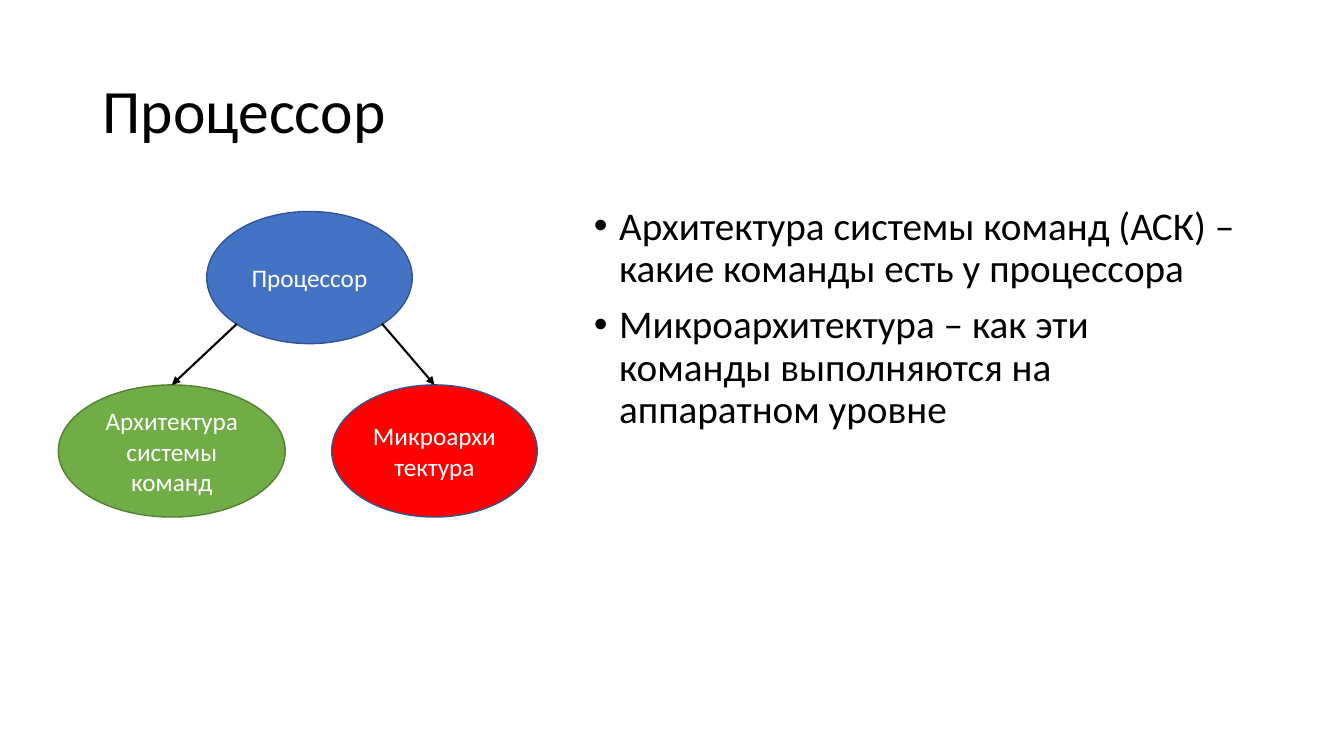
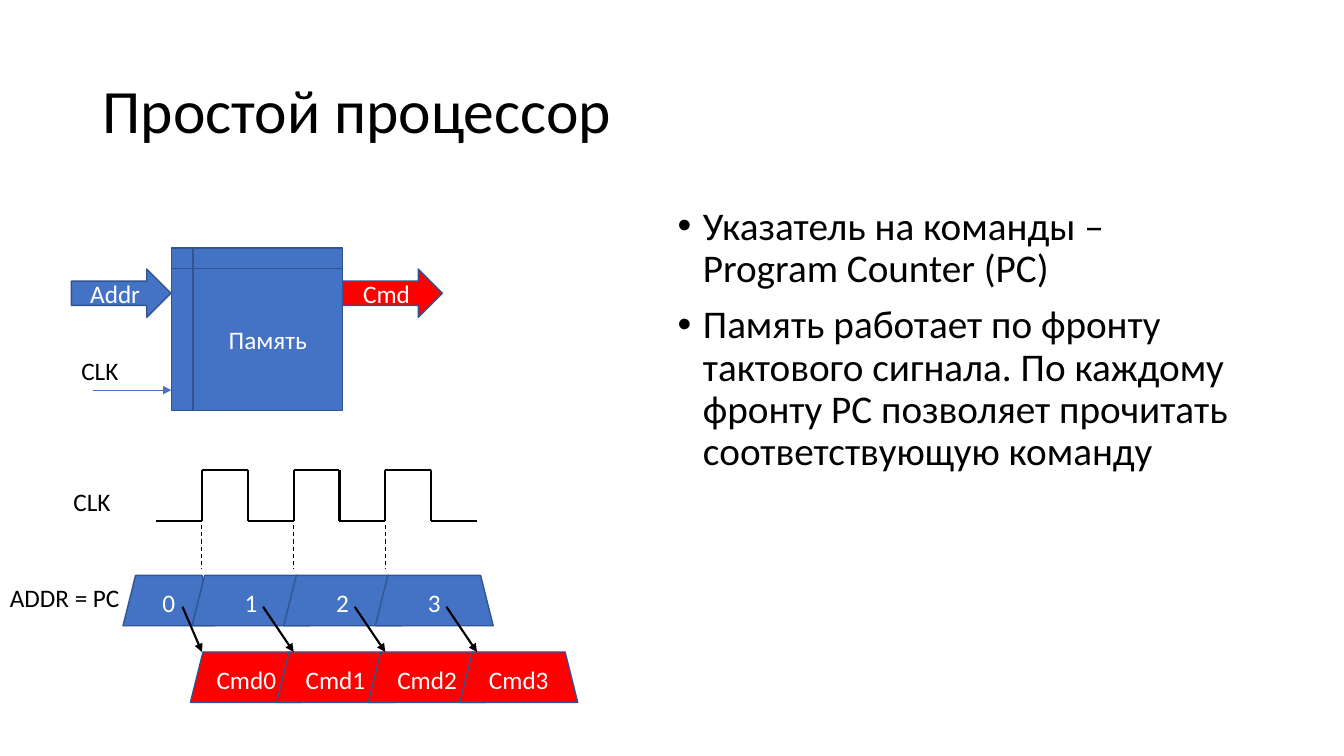
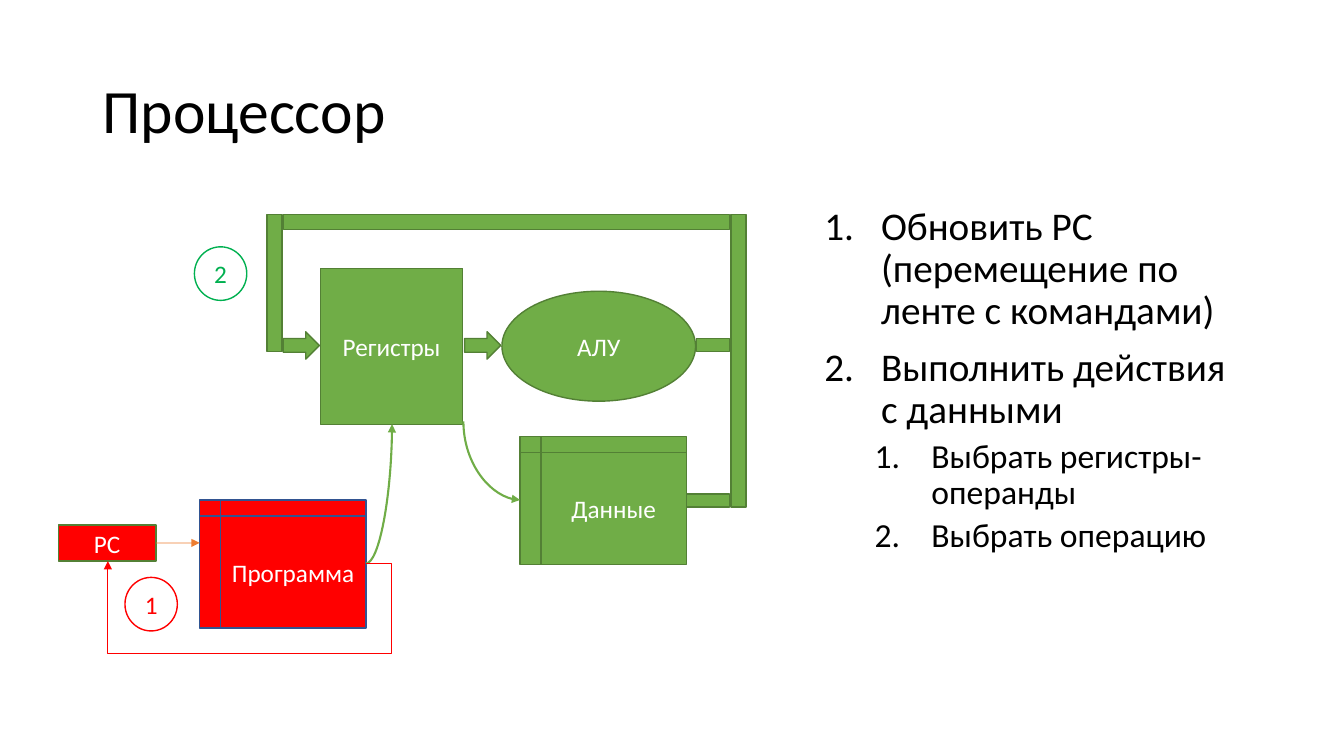
from dataclasses import dataclass

from lxml import etree
from pptx import Presentation
from pptx import util as u
from pptx.dml import color as col
from pptx.enum import dml, shapes, text as txt
from pptx.oxml import ns

Cm = u.Cm
KIND = shapes.MSO_SHAPE
LINK = shapes.MSO_CONNECTOR


@dataclass(frozen=True)
class Theme:
    font: str = "Calibri"
    black: str = "000000"
    white: str = "FFFFFF"
    blue: str = "4472C4"
    navy: str = "325491"
    red: str = "FF0000"
    green: str = "70AD47"
    olive: str = "538035"
    lime: str = "00B050"
    orange: str = "ED7D31"
    head: int = 44
    main: int = 28
    sub: int = 24
    note: int = 18
    thin: float = 0.5
    dash: float = 0.75
    edge: float = 1
    bold: float = 1.5


T = Theme()


def rgb(code):
    return col.RGBColor.from_string(code)


def node(parent, tag, **attrs):
    return etree.SubElement(parent, ns.qn(tag), **attrs)


def write(para, text, size=T.note, color=T.black, align=None, space=None, before=None):
    run = para.add_run()
    run.text = text
    run.font.name = T.font
    run.font.size = u.Pt(size)
    run.font.color.rgb = rgb(color)
    if align is not None:
        para.alignment = align
    if space is not None:
        para.line_spacing = space
    if before is not None:
        para.space_before = u.Pt(before)


class Deck:
    def __init__(self, theme):
        self.theme = theme
        self.prs = Presentation()
        self.prs.slide_width = Cm(33.87)
        self.prs.slide_height = Cm(19.05)

    def page(self, title):
        self.slide = self.prs.slides.add_slide(self.prs.slide_layouts[1])
        frame = self.place(self.slide.shapes.title, 2.33, 1.01, 29.21, 3.68)
        frame.vertical_anchor = txt.MSO_ANCHOR.MIDDLE
        write(frame.paragraphs[0], title, size=self.theme.head,
              align=txt.PP_ALIGN.LEFT, space=0.9)

    def place(self, holder, x, y, w, h):
        holder.left, holder.top, holder.width, holder.height = map(Cm, (x, y, w, h))
        frame = holder.text_frame
        frame.word_wrap = True
        frame.auto_size = txt.MSO_AUTO_SIZE.NONE
        return frame

    def items(self, x, rows, count=False):
        frame = self.place(self.slide.placeholders[1], x, 5.07, 31.54 - x, 12.09)
        hang = Cm(1.43 if count else 0.64)
        for i, (level, text) in enumerate(rows):
            para = frame.add_paragraph() if i else frame.paragraphs[0]
            para.level = level
            write(para, text, size=self.theme.sub if level else self.theme.main,
                  space=0.9, before=5 if level else 10)
            props = para._p.get_or_add_pPr()
            props.set("marL", str(hang + level * Cm(1.27)))
            props.set("indent", str(-hang))
            if count:
                node(props, "a:buFont", typeface="+mj-lt")
                node(props, "a:buAutoNum", type="arabicPeriod")
            else:
                node(props, "a:buFont", typeface="Arial")
                node(props, "a:buChar", char="•")

    def shape(self, kind, x, y, w, h, text="", fill=T.blue, edge=T.navy, color=T.white):
        item = self.slide.shapes.add_shape(kind, Cm(x), Cm(y), Cm(w), Cm(h))
        item.shadow.inherit = False
        if fill:
            item.fill.solid()
            item.fill.fore_color.rgb = rgb(fill)
        else:
            item.fill.background()
        item.line.color.rgb = rgb(edge)
        item.line.width = u.Pt(self.theme.edge)
        if text:
            item.text_frame.vertical_anchor = txt.MSO_ANCHOR.MIDDLE
            write(item.text_frame.paragraphs[0], text, color=color,
                  align=txt.PP_ALIGN.CENTER)
        return item

    def label(self, x, y, w, text):
        frame = self.slide.shapes.add_textbox(Cm(x), Cm(y), Cm(w), Cm(1.02)).text_frame
        frame.word_wrap = True
        write(frame.paragraphs[0], text)

    def line(self, start, end, color=T.black, width=T.bold, tip=None, dash=False,
             kind=LINK.STRAIGHT):
        item = self.slide.shapes.add_connector(kind, *map(Cm, (*start, *end)))
        item.line.color.rgb = rgb(color)
        item.line.width = u.Pt(width)
        if dash:
            item.line.dash_style = dml.MSO_LINE.DASH
        props = item._element.spPr
        if tip:
            node(props.get_or_add_ln(), f"a:{tip}End", type="triangle")
        node(props, "a:effectLst")
        return item

    def curve(self, start, end, tip):
        item = self.line(start, end, color=self.theme.green, tip=tip, kind=LINK.CURVE)
        item._element.spPr.find(ns.qn("a:prstGeom")).set("prst", "curvedConnector2")

    def bend(self, start, turn, end, color):
        item = self.line(start, end, color=color, width=self.theme.thin,
                         tip="tail", kind=LINK.ELBOW)
        geom = item._element.spPr.find(ns.qn("a:prstGeom"))
        geom.set("prst", "bentConnector4")
        guides = geom.find(ns.qn("a:avLst"))
        if guides is None:
            guides = node(geom, "a:avLst")
        for i, (a, b, c) in enumerate(zip(start, turn, end), 1):
            ratio = round(100000 * (b - a) / (c - a))
            node(guides, "a:gd", name=f"adj{i}", fmla=f"val {ratio}")


def parts(deck):
    deck.page("Процессор")
    deck.items(14.71, [
        (0, "Архитектура системы команд (АСК) – какие команды есть у процессора"),
        (0, "Микроархитектура – как эти команды выполняются на аппаратном уровне"),
    ])
    deck.shape(KIND.OVAL, 5.21, 5.33, 5.18, 3.33, "Процессор")
    micro = deck.shape(KIND.OVAL, 8.36, 9.7, 5.18, 3.33, "Микроархитектура", fill=T.red)
    arch = deck.shape(KIND.OVAL, 1.47, 9.7, 5.72, 3.33, "Архитектура системы команд",
                      fill=T.green, edge=T.olive)
    for x, end, goal in ((9.63, 10.95, micro), (5.97, 4.33, arch)):
        deck.line((x, 8.16), (end, 9.7), tip="tail").end_connect(goal, 0)


def clock(deck):
    deck.page("Простой процессор")
    deck.items(16.82, [
        (0, "Указатель на команды – Program Counter (PC)"),
        (0, "Память работает по фронту тактового сигнала. По каждому фронту PC "
            "позволяет прочитать соответствующую команду"),
    ])
    deck.shape(KIND.FLOWCHART_INTERNAL_STORAGE, 4.32, 6.25, 4.32, 4.09, "Память")
    deck.line((2.34, 9.83), (4.32, 9.83), color=T.blue, width=T.thin, tip="tail")
    deck.shape(KIND.RIGHT_ARROW, 1.8, 6.78, 2.51, 1.22, "Addr")
    deck.shape(KIND.RIGHT_ARROW, 8.64, 6.78, 2.51, 1.22, "Cmd", fill=T.red)
    for x, y, w, text in ((1.8, 8.84, 1.47, "CLK"), (1.6, 12.12, 1.47, "CLK"),
                          (0, 14.55, 3.58, "ADDR = PC")):
        deck.label(x, y, w, text)

    rise, step, high, low = 5.09, 2.31, 11.84, 13.13
    half = step / 2
    deck.line((rise - half, low), (rise, low))
    for i in range(3):
        x = rise + i * step
        mid, end = x + half, x + step
        deck.line((x, low), (x, high))
        deck.line((x, high), (mid, high))
        deck.line((mid, high), (mid, low))
        deck.line((mid, low), (end, low))
        deck.line((x, 13.23), (x, 14.35), width=T.dash, dash=True)

    rows = ((14.5, "", T.blue, 3.1, 2.31, 4.84), (16.43, "Cmd", T.red, 4.8, 2.82, 6.97))
    for y, name, fill, first, width, second in rows:
        for i in range(4):
            x, w = (second + (i - 1) * step, 2.97) if i else (first, width)
            deck.shape(KIND.TRAPEZOID, x, y, w, 1.27, f"{name}{i}", fill=fill)
    for i in range(4):
        x = 4.32 + i * step if i else 4.6
        deck.line((x, 15.29), (rise + i * step, 16.43), tip="tail")


def flow(deck):
    deck.page("Процессор")
    deck.items(20.52, [
        (0, "Обновить PC (перемещение по ленте с командами)"),
        (0, "Выполнить действия с данными"),
        (1, "Выбрать регистры-операнды"),
        (1, "Выбрать операцию"),
    ], count=True)
    store = KIND.FLOWCHART_INTERNAL_STORAGE
    for kind, x, y, w, h, text in (
        (KIND.RECTANGLE, 8.08, 6.76, 3.58, 3.94, "Регистры"),
        (KIND.OVAL, 12.65, 7.34, 4.88, 2.77, "АЛУ"),
        (KIND.RIGHT_ARROW, 11.71, 8.36, 0.91, 0.69, ""),
        (KIND.RIGHT_ARROW, 7.14, 8.36, 0.91, 0.69, ""),
        (KIND.RECTANGLE, 6.73, 5.41, 0.38, 3.45, ""),
        (KIND.RECTANGLE, 7.14, 5.41, 11.25, 0.38, ""),
        (KIND.RECTANGLE, 17.55, 8.53, 0.84, 0.33, ""),
        (KIND.RECTANGLE, 18.42, 5.41, 0.38, 7.37, ""),
        (store, 13.11, 11, 4.19, 3.23, "Данные"),
        (KIND.RECTANGLE, 17.3, 12.45, 1.09, 0.33, ""),
    ):
        deck.shape(kind, x, y, w, h, text, fill=T.green, edge=T.olive)
    deck.shape(store, 5.03, 12.6, 4.19, 3.23, "Программа", fill=T.red)
    count = deck.shape(KIND.RECTANGLE, 1.47, 13.23, 2.46, 0.91, "PC",
                       fill=T.red, edge=T.olive)
    deck.line((3.93, 13.68), (5.03, 13.68), color=T.orange, width=T.thin,
              tip="tail").begin_connect(count, 3)
    deck.curve((9.22, 14.2), (9.88, 10.69), "tail")
    deck.curve((13.11, 12.6), (11.68, 10.62), "head")
    deck.bend((9.22, 14.2), (9.86, 16.46), (2.72, 14.14), T.red)
    for x, y, text, color in ((3.15, 14.55, "1", T.red), (4.9, 6.22, "2", T.lime)):
        deck.shape(KIND.OVAL, x, y, 1.32, 1.35, text, fill=None, edge=color, color=color)


def main():
    deck = Deck(T)
    for build in (parts, clock, flow):
        build(deck)
    deck.prs.save("out.pptx")


if __name__ == "__main__":
    main()
